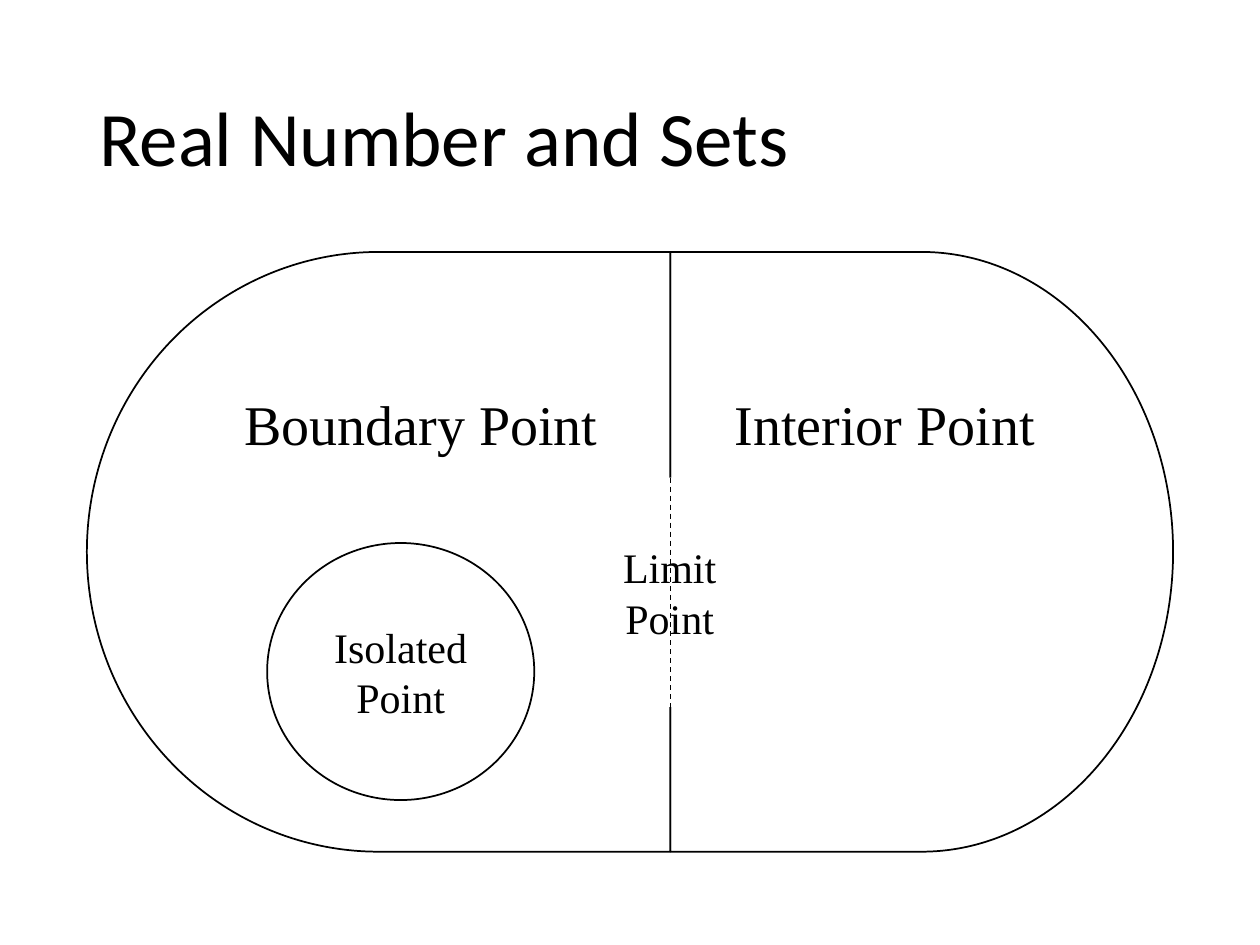
import dataclasses

import pptx
import pptx.dml.color
import pptx.enum.dml
import pptx.enum.shapes
import pptx.enum.text
import pptx.oxml
import pptx.util
from pptx.util import Inches

SHAPE = pptx.enum.shapes.MSO_SHAPE


@dataclasses.dataclass(frozen=True)
class Theme:
    ink = pptx.dml.color.RGBColor(0, 0, 0)
    paper = pptx.dml.color.RGBColor(255, 255, 255)
    title_font = "Calibri"
    label_font = "Times New Roman"
    title_size = pptx.util.Pt(44)
    region_size = pptx.util.Pt(32)
    point_size = pptx.util.Pt(24)
    outline = pptx.util.Pt(1)
    divider = pptx.util.Pt(0.75)


THEME = Theme()


def write(shape, text, font, size, align):
    tf = shape.text_frame
    tf.word_wrap = True
    tf.vertical_anchor = pptx.enum.text.MSO_ANCHOR.MIDDLE
    p = tf.paragraphs[0]
    p.text = text
    p.alignment = align
    p.font.name = font
    p.font.size = size
    p.font.color.rgb = THEME.ink
    return p


def add_title(s, text):
    tb = s.shapes.add_textbox(Inches(0.69), Inches(0.4), Inches(8.62), Inches(1.45))
    p = write(tb, text, THEME.title_font, THEME.title_size, pptx.enum.text.PP_ALIGN.LEFT)
    p.line_spacing = 0.9


def add_labelled(s, kind, box, text, size, outlined=True):
    sp = s.shapes.add_shape(kind, *(Inches(v) for v in box))
    sp.shadow.inherit = False
    sp.fill.solid()
    sp.fill.fore_color.rgb = THEME.paper
    if outlined:
        sp.line.color.rgb = THEME.ink
        sp.line.width = THEME.outline
    else:
        sp.line.fill.background()
    write(sp, text, THEME.label_font, size, pptx.enum.text.PP_ALIGN.CENTER)
    return sp


def add_region(s, box, text, mirrored=False):
    sp = add_labelled(s, SHAPE.FLOWCHART_DELAY, box, text, THEME.region_size)
    sp.text_frame.margin_bottom = Inches(2.1)
    if mirrored:
        sp._element.spPr.xfrm.set("flipH", "1")


def add_dashed_divider(s, x, top, bottom):
    line = s.shapes.add_connector(
        pptx.enum.shapes.MSO_CONNECTOR.STRAIGHT,
        Inches(x), Inches(top), Inches(x), Inches(bottom))
    line.line.color.rgb = THEME.ink
    line.line.width = THEME.divider
    line.line.dash_style = pptx.enum.dml.MSO_LINE.DASH
    line._element.spPr.append(pptx.oxml.parse_xml(
        '<a:effectLst xmlns:a="http://schemas.openxmlformats.org/drawingml/2006/main"/>'))


def main():
    prs = pptx.Presentation()
    prs.slide_width, prs.slide_height = Inches(10), Inches(7.5)
    s = prs.slides.add_slide(prs.slide_layouts[6])

    left, middle, right = 0.69, 5.32, 9.31
    top, height = 2, 4.76
    add_title(s, "Real Number and Sets")
    add_region(s, (middle, top, right - middle, height), "Interior Point")
    add_region(s, (left, top, middle - left, height), "Boundary Point", mirrored=True)
    add_labelled(s, SHAPE.OVAL, (4.24, 3.79, 2.15, 1.82), "Limit Point",
                 THEME.point_size, outlined=False)
    add_dashed_divider(s, middle, 3.79, 5.62)
    add_labelled(s, SHAPE.OVAL, (2.12, 4.31, 2.12, 2.04), "Isolated Point", THEME.point_size)
    prs.save("out.pptx")


if __name__ == "__main__":
    main()
